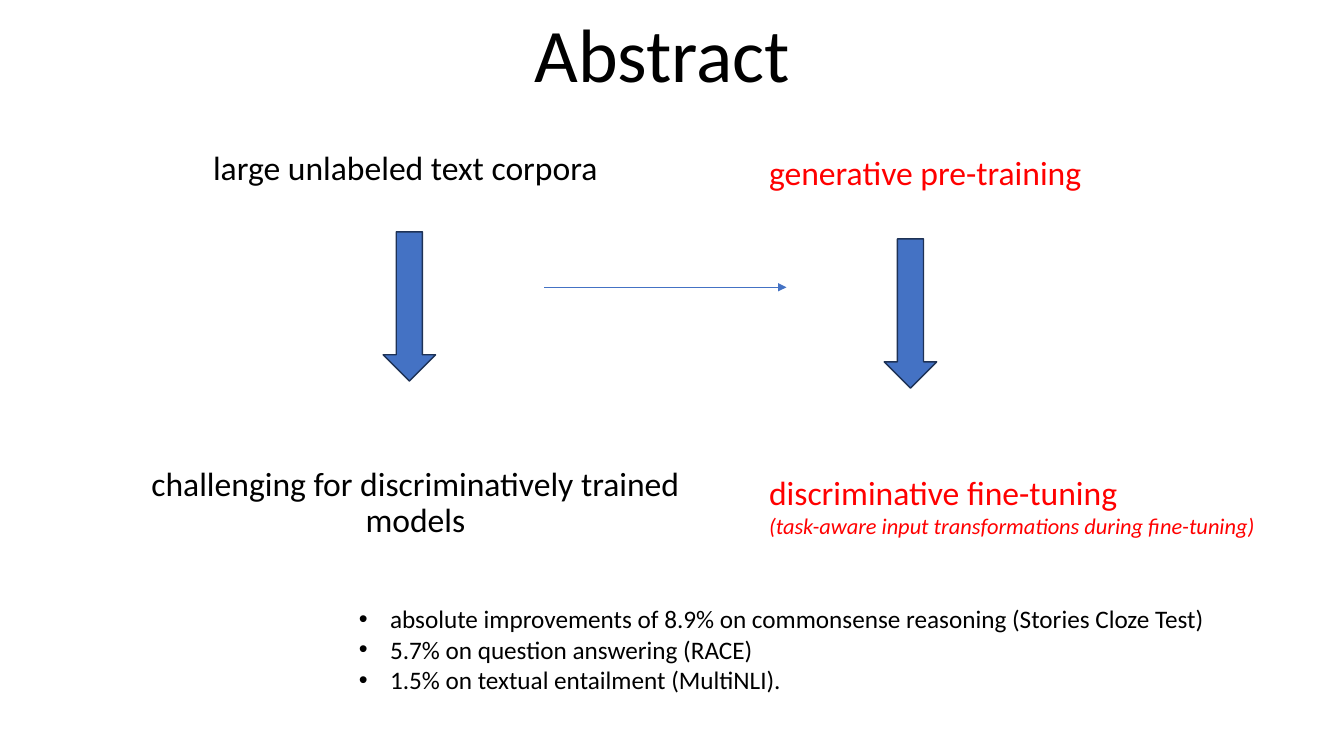
from lxml.etree import SubElement
from pptx import Presentation
from pptx.dml.color import RGBColor
from pptx.enum.shapes import MSO_CONNECTOR as Connector, MSO_SHAPE as Shape
from pptx.enum.text import MSO_ANCHOR as Anchor, MSO_AUTO_SIZE as AutoSize, PP_ALIGN as Align
from pptx.oxml.ns import qn
from pptx.util import Pt

BLACK = RGBColor(0x00, 0x00, 0x00)
RED = RGBColor(0xFF, 0x00, 0x00)
BLUE = RGBColor(0x44, 0x72, 0xC4)
NAVY = RGBColor(0x1E, 0x32, 0x56)
EMU_PER_PX = 9144
BULLET_INDENT = 31


def px(length):
    return length * EMU_PER_PX


class Slide:
    font_name = "Calibri"

    def __init__(self, deck):
        self.page = deck.slides.add_slide(deck.slide_layouts[6])

    def text(self, bounds, lines, color=BLACK, frame_format=None, para_format=None, bullet=None):
        box = self.page.shapes.add_textbox(*map(px, bounds))
        frame = box.text_frame
        for name, value in {"word_wrap": True, **(frame_format or {})}.items():
            setattr(frame, name, value)
        for index, (words, size, italic) in enumerate(lines):
            para = frame.add_paragraph() if index else frame.paragraphs[0]
            for name, value in (para_format or {}).items():
                setattr(para, name, value)
            if bullet:
                self.bullet(para, bullet)
            span = para.add_run()
            span.text = words
            span_format = {"name": self.font_name, "size": Pt(size), "italic": italic}
            for name, value in span_format.items():
                setattr(span.font, name, value)
            span.font.color.rgb = color

    def bullet(self, para, symbol):
        properties = para._p.get_or_add_pPr()
        properties.set("marL", str(px(BULLET_INDENT)))
        properties.set("indent", str(-px(BULLET_INDENT)))
        SubElement(properties, qn("a:buFont")).set("typeface", "Arial")
        SubElement(properties, qn("a:buChar")).set("char", symbol)

    def down_arrow(self, left, top):
        arrow = self.page.shapes.add_shape(Shape.DOWN_ARROW, *map(px, (left, top, 52, 148)))
        arrow.shadow.inherit = False
        arrow.fill.solid()
        arrow.fill.fore_color.rgb = BLUE
        arrow.line.color.rgb = NAVY
        arrow.line.width = Pt(1)

    def line_arrow(self, start, end):
        arrow = self.page.shapes.add_connector(Connector.STRAIGHT, *map(px, start + end))
        arrow.line.color.rgb = BLUE
        arrow.line.width = Pt(0.5)
        SubElement(arrow.line._get_or_add_ln(), qn("a:tailEnd")).set("type", "triangle")
        SubElement(arrow._element.spPr, qn("a:effectLst"))


def main():
    deck = Presentation()
    deck.slide_width, deck.slide_height = px(1333), px(750)
    slide = Slide(deck)
    centered = {"alignment": Align.CENTER, "line_spacing": 0.9}
    growing = {"auto_size": AutoSize.SHAPE_TO_FIT_TEXT}

    slide.text((275, 28, 764, 75), [("Abstract", 54, False)],
               frame_format={"vertical_anchor": Anchor.BOTTOM}, para_format=centered)

    problem = [
        ((86, 145, 632, 110), "large unlabeled text corpora"),
        ((96, 459, 632, 110), "challenging for discriminatively trained models"),
    ]
    for bounds, words in problem:
        slide.text(bounds, [(words, 24, False)], para_format=centered)

    approach = [
        ((753, 146, 667, 50), [("generative pre-training", 24, False)]),
        ((753, 463, 667, 77), [
            ("discriminative fine-tuning", 24, False),
            ("(task-aware input transformations during fine-tuning)", 16, True),
        ]),
    ]
    for bounds, lines in approach:
        slide.text(bounds, lines, RED, growing)

    for left, top in [(380, 230), (877, 237)]:
        slide.down_arrow(left, top)
    slide.line_arrow((540, 285), (780, 285))

    results = [
        "absolute improvements of 8.9% on commonsense reasoning (Stories Cloze Test)",
        "5.7% on question answering (RACE)",
        "1.5% on textual entailment (MultiNLI).",
    ]
    slide.text((346, 594, 898, 101), [(words, 18, False) for words in results],
               frame_format=growing, bullet="•")
    deck.save("out.pptx")


if __name__ == "__main__":
    main()
